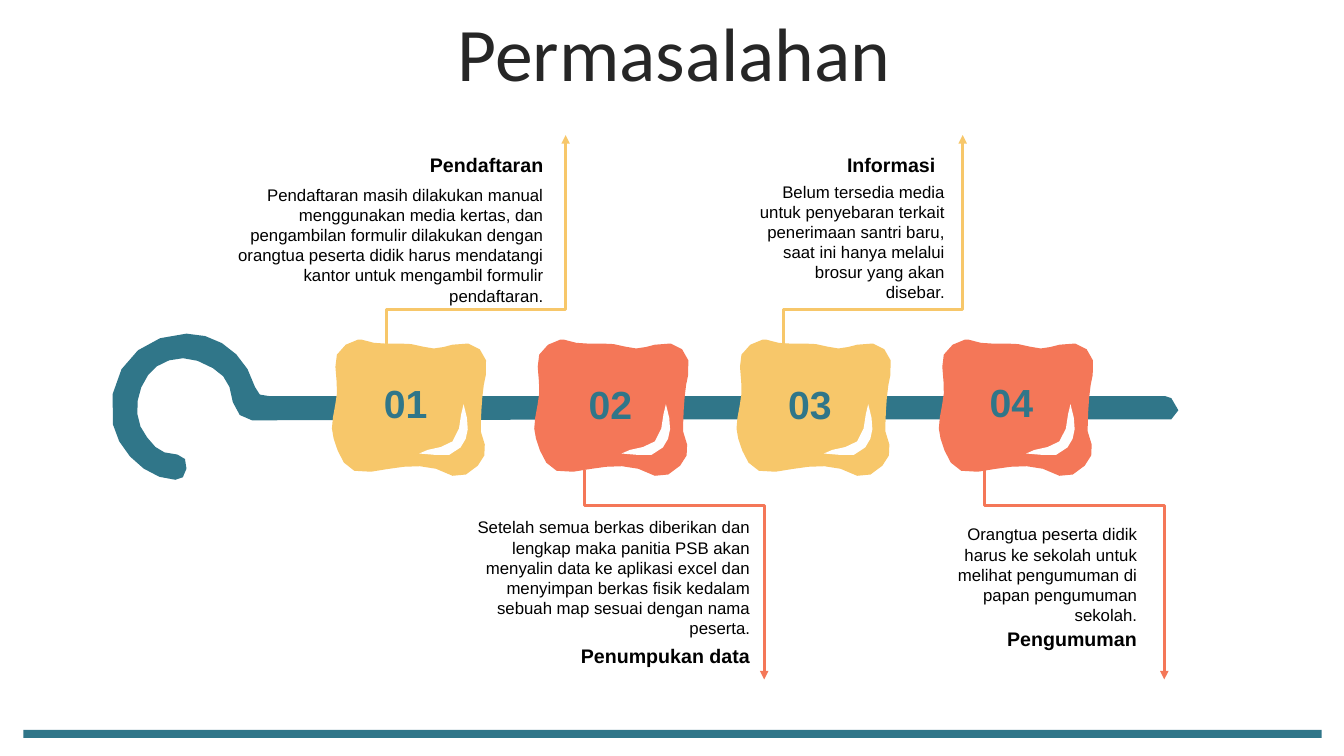
"""Build the slide "Permasalahan": four numbered problems on a skewer."""
from math import ceil, dist
from lxml.etree import SubElement as Sub
from pptx import Presentation
from pptx.dml.color import RGBColor as Rgb
from pptx.enum.shapes import MSO_CONNECTOR as Link, MSO_SHAPE as Form
from pptx.enum.text import MSO_ANCHOR as Anchor, MSO_AUTO_SIZE as Auto, PP_ALIGN as Align
from pptx.oxml.ns import qn
from pptx.util import Pt

TITLE = "Permasalahan"
ITEMS = [
    dict(num="01", head="Pendaftaran",
         body="Pendaftaran masih dilakukan manual menggunakan media kertas, dan "
              "pengambilan formulir dilakukan dengan orangtua peserta didik harus "
              "mendatangi kantor untuk mengambil formulir pendaftaran.",
         headbox=(150.5, 105.8, 244.8, 24.5), bodybox=(148.3, 128.2, 247, 138.2),
         numpos=(267.1, 267.1), link=265),
    dict(num="02", head="Penumpukan data",
         body="Setelah semua berkas diberikan dan lengkap maka panitia PSB akan "
              "menyalin data ke aplikasi excel dan menyimpan berkas fisik kedalam "
              "sebuah map sesuai dengan nama peserta.",
         headbox=(367.2, 456.5, 175.7, 24.5), bodybox=(326.2, 365.8, 216.7, 108.7),
         numpos=(413.3, 267.8), link=406.8),
    dict(num="03", head="Informasi",
         body="Belum tersedia media untuk penyebaran terkait penerimaan santri baru, "
              "saat ini hanya melalui brosur yang akan disebar.",
         headbox=(526.3, 105.8, 149, 24.5), bodybox=(531.4, 126, 150.5, 79.9),
         numpos=(555.8, 267.8), link=548.6),
    dict(num="04", head="Pengumuman",
         body="Orangtua peserta didik harus ke sekolah untuk melihat pengumuman di "
              "papan pengumuman sekolah.",
         headbox=(670.3, 444.2, 149, 24.5), bodybox=(668.9, 370.8, 150.5, 79.9),
         numpos=(699.8, 266.4), link=692.6),
]
ROD = [
    (185, 331), (217, 331, 244, 352, 253, 384), (255, 392, 259, 393, 267, 393),
    (1156, 393), (1162, 395), (1166, 396, 1169, 400, 1169, 407),
    (1169, 413, 1166, 415, 1162, 416), (709, 416), (250, 417),
    (242, 417, 232, 409, 231, 399),
    (228, 375, 220, 368, 196, 358), (177, 351, 156, 359, 147, 372),
    (133, 391, 132, 418, 146, 434), (155, 446, 160, 450, 176, 451),
    (184, 451, 185, 458, 185, 465), (185, 473, 179, 476, 174, 476),
    (148, 476, 118, 450, 112, 421), (103, 367, 139, 332, 185, 331),
]
BLOCK = [
    (355, 337), (359, 337), (379, 345, 400, 337, 420, 344),
    (431, 348, 440, 344, 449, 342), (472, 335, 487, 351, 482, 372),
    (478, 386, 477, 416, 477, 428), (481, 441),
    (483, 447, 480, 457, 474, 462), (468, 468, 457, 476, 449, 472),
    (421, 456, 396, 464, 368, 468), (341, 473, 336, 450, 331, 435),
    (325, 420, 337, 397, 334, 379), (333, 362, 329, 351, 343, 342),
    (347, 340, 351, 337, 355, 337),
]
SHINE = [
    (460, 401), (466, 421, 466, 433, 457, 444), (448, 457, 431, 450, 416, 450),
    (420, 445, 440, 446, 449, 438), (459, 428, 456, 407, 460, 401),
]
UNIT, STEP, CHORD, MOST = 0.72, 144.5, 14, 5
LINKW, LINKH, TOPS = 149.8, 128.2, (107.3, 346.3)


class Theme:
    """Colours, fonts and type sizes."""
    teal = Rgb.from_string("307689")
    warm = (Rgb.from_string("F7C76A"), Rgb.from_string("F47758"))
    shine = Rgb.from_string("FEFEFE")
    title = dict(name="Calibri", size=Pt(54), bold=False, rgb=Rgb.from_string("262626"))
    head = dict(name="Arial", size=Pt(14), bold=True, rgb=Rgb(0, 0, 0))
    body = dict(name="Arial", size=Pt(12), bold=False, rgb=Rgb(0, 0, 0))
    num = dict(name="Arial", size=Pt(28), bold=True, rgb=teal)


def paint(shape, color):
    """Give a shape a flat fill."""
    shape.shadow.inherit = False
    shape.fill.solid()
    shape.fill.fore_color.rgb = color
    shape.line.fill.background()


def trace(path):
    """Turn straight and cubic segments into few points."""
    dots = [path[0]]
    for seg in path[1:]:
        if len(seg) == 2:
            dots.append(seg)
            continue
        ends = [dots[-1], seg[:2], seg[2:4], seg[4:]]
        cuts = min(MOST, ceil(dist(ends[0], ends[3]) / CHORD))
        for cut in range(1, cuts + 1):
            t = cut / cuts
            mix = ((1 - t) ** 3, 3 * t * (1 - t) ** 2, 3 * t * t * (1 - t), t ** 3)
            dots.append(tuple(sum(m * e[axis] for m, e in zip(mix, ends))
                              for axis in (0, 1)))
    return dots


def draw(slide, path, color, shift=0):
    """Draw a filled outline moved right by shift."""
    dots = [(Pt(x * UNIT + shift), Pt(y * UNIT)) for x, y in trace(path)]
    pen = slide.shapes.build_freeform(*dots[0])
    pen.add_line_segments(dots[1:], close=True)
    paint(pen.convert_to_shape(), color)


def write(shape, text, style, align, **frame):
    """Fill a text frame in one style."""
    for key, value in frame.items():
        setattr(shape.text_frame, key, value)
    para = shape.text_frame.paragraphs[0]
    para.alignment = align
    run = para.add_run()
    run.text = text
    for key, value in style.items():
        setattr(run.font.color if key == "rgb" else run.font, key, value)
    return para


def label(slide, box, text, style, align):
    """Add a wrapped text box."""
    shape = slide.shapes.add_textbox(*map(Pt, box))
    write(shape, text, style, align, word_wrap=True, auto_size=Auto.SHAPE_TO_FIT_TEXT)


def point(slide, left, down, color):
    """Add a bent arrow that leaves a block upward or downward."""
    top = TOPS[down]
    ys = (top, top + LINKH) if down else (top + LINKH, top)
    line = slide.shapes.add_connector(
        Link.ELBOW, Pt(left + LINKW), Pt(ys[0]), Pt(left), Pt(ys[1]))
    line.line.color.rgb = color
    line.line.width = Pt(2)
    prop = line.element.spPr
    prop.find(qn("a:xfrm")).set("rot", str((270 if down else 90) * 60000))
    geom = prop.find(qn("a:prstGeom"))
    guides = geom.find(qn("a:avLst"))
    if guides is None:
        guides = Sub(geom, qn("a:avLst"))
    Sub(guides, qn("a:gd"), name="adj1", fmla="val 16900")
    Sub(prop.find(qn("a:ln")), qn("a:tailEnd"), type="triangle")
    Sub(prop, qn("a:effectLst"))


def main():
    """Build and save the slide."""
    deck = Presentation()
    deck.slide_width, deck.slide_height = Pt(960), Pt(540)
    slide = deck.slides.add_slide(deck.slide_layouts[5])
    title = slide.shapes.title
    for key, value in dict(left=25.9, top=12.2, width=911.5, height=56.9).items():
        setattr(title, key, Pt(value))
    para = write(title, TITLE, Theme.title, Align.CENTER, word_wrap=True,
                 auto_size=Auto.NONE, vertical_anchor=Anchor.MIDDLE)
    para.line_spacing, para.space_before = 0.9, Pt(10)

    bar = slide.shapes.add_shape(Form.RECTANGLE, *map(Pt, (16.6, 521.3, 927.4, 5.8)))
    paint(bar, Theme.teal)
    draw(slide, ROD, Theme.teal)
    for i, item in enumerate(ITEMS):
        down = i % 2
        color = Theme.warm[down]
        draw(slide, BLOCK, color, i * STEP)
        draw(slide, SHINE, Theme.shine, i * STEP)
        point(slide, item["link"], down, color)
        for part in ("head", "body"):
            label(slide, item[part + "box"], item[part], getattr(Theme, part), Align.RIGHT)
        label(slide, (*item["numpos"], 58.3, 41), item["num"], Theme.num, Align.LEFT)
    deck.save("out.pptx")


if __name__ == "__main__":
    main()
